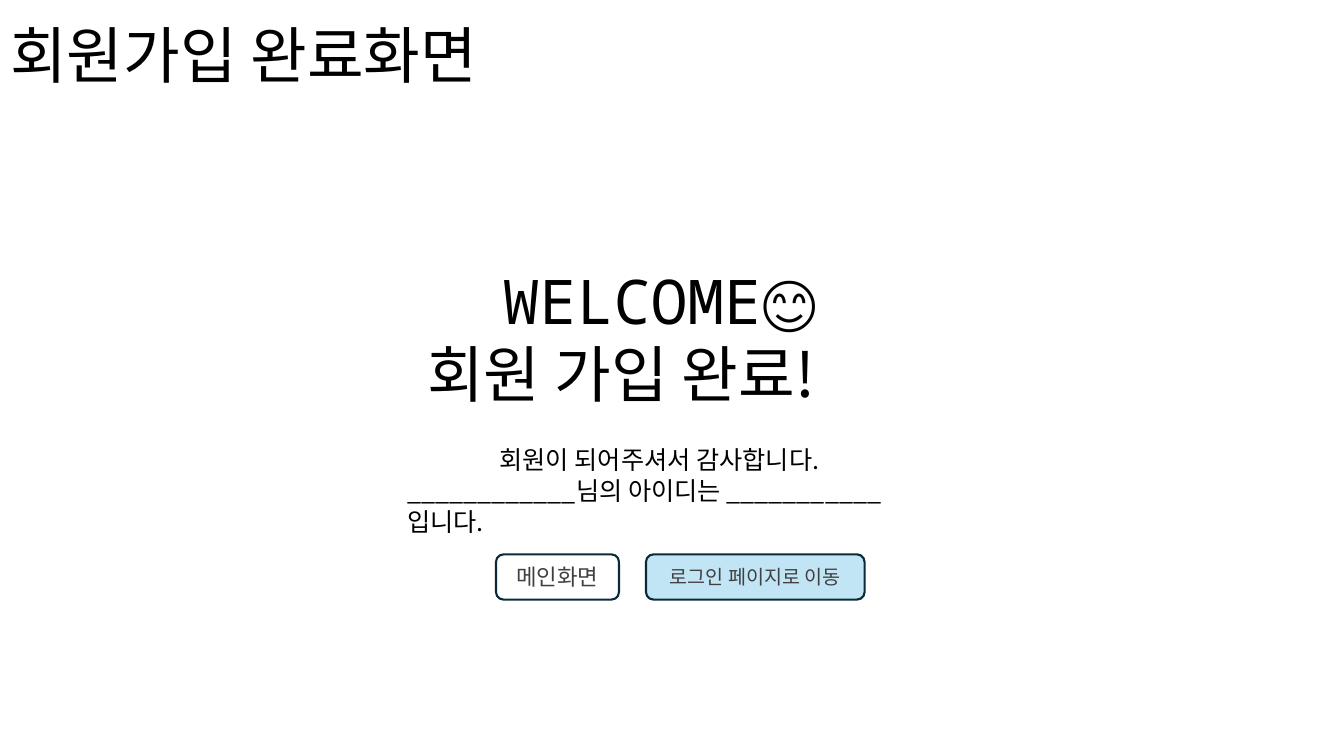
from lxml.etree import SubElement
from pptx import Presentation
from pptx.dml.color import RGBColor
from pptx.enum.shapes import MSO_SHAPE
from pptx.enum.text import MSO_ANCHOR, PP_ALIGN
from pptx.oxml.ns import qn
from pptx.util import Cm, Pt

BLACK = RGBColor(0x00, 0x00, 0x00)
GRAY = RGBColor(0x40, 0x40, 0x40)
NAVY = RGBColor(0x09, 0x2A, 0x39)
SKY = RGBColor(0xC1, 0xE5, 0xF5)

KOREAN = "Noto Sans CJK KR"
MONO = "Noto Sans Mono"


class SlideBuilder:
    """Holds the text style and the current slide."""

    def __init__(self, slide, font=KOREAN, color=BLACK):
        self.slide = slide
        self.font = font
        self.color = color

    def format_run(self, run, size, color=None, font=None):
        run.font.size = Pt(size)
        run.font.color.rgb = color or self.color
        run.font.name = font or self.font
        SubElement(run.font._element, qn("a:ea"), typeface=self.font)

    def title(self, text, left, top, width, height, size):
        shape = self.slide.shapes.title
        shape.left, shape.top = Cm(left), Cm(top)
        shape.width, shape.height = Cm(width), Cm(height)
        frame = shape.text_frame
        frame.text = text
        frame.vertical_anchor = MSO_ANCHOR.MIDDLE
        paragraph = frame.paragraphs[0]
        paragraph.alignment = PP_ALIGN.LEFT
        paragraph.line_spacing = 0.9
        self.format_run(paragraph.runs[0], size)

    def text(self, lines, left, top, width, height, size, spacing, indent):
        """Each line is a list of (text, font) pairs; the first is indented."""
        shape = self.slide.shapes.add_textbox(
            Cm(left), Cm(top), Cm(width), Cm(height))
        frame = shape.text_frame
        frame.word_wrap = True
        for index, line in enumerate(lines):
            paragraph = frame.add_paragraph() if index else frame.paragraphs[0]
            paragraph.line_spacing = Pt(spacing)
            for text, font in line:
                run = paragraph.add_run()
                run.text = text
                self.format_run(run, size, font=font)
        first = frame.paragraphs[0]._p.get_or_add_pPr()
        first.set("marL", str(Cm(indent)))

    def button(self, text, left, top, width, height, size, fill=None):
        shape = self.slide.shapes.add_shape(
            MSO_SHAPE.ROUNDED_RECTANGLE,
            Cm(left), Cm(top), Cm(width), Cm(height))
        shape.shadow.inherit = False
        if fill is None:
            shape.fill.background()
        else:
            shape.fill.solid()
            shape.fill.fore_color.rgb = fill
        shape.line.color.rgb = NAVY
        shape.line.width = Pt(1.5)
        frame = shape.text_frame
        frame.text = text
        frame.vertical_anchor = MSO_ANCHOR.MIDDLE
        paragraph = frame.paragraphs[0]
        paragraph.alignment = PP_ALIGN.CENTER
        self.format_run(paragraph.runs[0], size, GRAY)


def main():
    presentation = Presentation()
    presentation.slide_width, presentation.slide_height = Cm(33.87), Cm(19.05)
    title_only = presentation.slide_layouts[5]
    builder = SlideBuilder(presentation.slides.add_slide(title_only))

    # Screen name
    builder.title("회원가입 완료화면", 0, -0.36, 29.21, 3.68, size=44)

    # Welcome heading
    builder.text(
        [[("WELCOME", MONO), ("😊", KOREAN)], [("회원 가입 완료!", KOREAN)]],
        10.52, 6.53, 12.8, 3.9, size=44, spacing=52, indent=1.9)

    # Thanks and member ID
    builder.text(
        [[("회원이 되어주셔서 감사합니다.", KOREAN)],
         [("____________님의 아이디는 ___________입니다.", KOREAN)]],
        10.01, 11.07, 13.06, 2.55, size=18, spacing=22, indent=2.33)

    # Buttons
    button_top, button_height = 13.97, 1.14
    builder.button("메인화면", 12.5, button_top, 3.1, button_height, size=16)
    builder.button("로그인 페이지로 이동", 16.28, button_top, 5.51,
                   button_height, size=14, fill=SKY)

    presentation.save("out.pptx")


if __name__ == "__main__":
    main()
